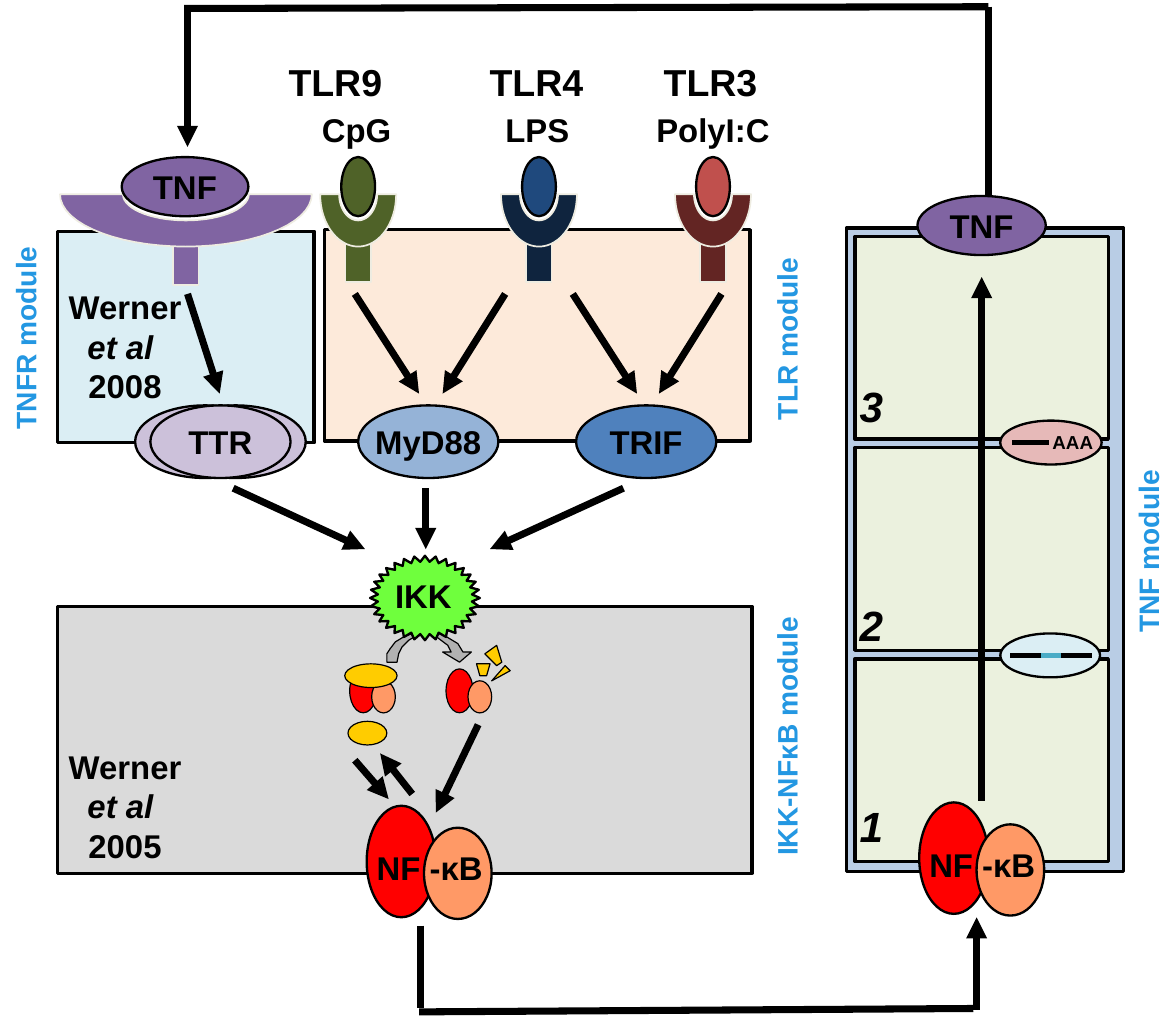
"""Build a slide of the TNF, TLR and NF-κB signalling modules."""
from math import cos, pi, sin

from lxml.etree import SubElement
from pptx import Presentation
from pptx.dml.color import RGBColor
from pptx.enum.shapes import MSO_CONNECTOR, MSO_SHAPE
from pptx.enum.text import MSO_ANCHOR, PP_ALIGN
from pptx.oxml.ns import qn
from pptx.util import Cm, Pt

BLACK = RGBColor(0x00, 0x00, 0x00)
CREAM = RGBColor(0xEE, 0xEC, 0xE1)
LABEL_BLUE = RGBColor(0x23, 0x97, 0xE2)
PALE_CYAN = RGBColor(0xDB, 0xEE, 0xF4)
PALE_BLUE = RGBColor(0xB9, 0xCD, 0xE5)
PALE_GREEN = RGBColor(0xEB, 0xF1, 0xDE)
PEACH = RGBColor(0xFD, 0xEA, 0xDA)
GREY = RGBColor(0xDA, 0xDA, 0xDA)
ARROW_GREY = RGBColor(0xB2, 0xB2, 0xB2)
LILAC = RGBColor(0xCC, 0xC1, 0xDA)
PURPLE = RGBColor(0x80, 0x64, 0xA2)
OLIVE = RGBColor(0x4F, 0x62, 0x28)
NAVY = RGBColor(0x0F, 0x24, 0x3E)
DARK_BLUE = RGBColor(0x1F, 0x49, 0x7D)
MAROON = RGBColor(0x63, 0x25, 0x23)
BRICK = RGBColor(0xC0, 0x50, 0x4D)
PINK = RGBColor(0xE6, 0xB9, 0xB8)
SKY = RGBColor(0x95, 0xB3, 0xD7)
BLUE = RGBColor(0x4F, 0x81, 0xBD)
TEAL = RGBColor(0x4B, 0xAC, 0xC6)
RED = RGBColor(0xFF, 0x00, 0x00)
ORANGE = RGBColor(0xFF, 0x99, 0x66)
YELLOW = RGBColor(0xFF, 0xCC, 0x00)
LIME = RGBColor(0x6F, 0xFF, 0x3D)


def length(inches):
    """Turn inches into a slide length."""
    return Cm(inches * 2.54)


def write_text(frame, text, size=14, color=BLACK, italic_lines=(), align=PP_ALIGN.LEFT,
               anchor=MSO_ANCHOR.TOP):
    """Write bold lines into a text frame."""
    frame.word_wrap = False
    frame.vertical_anchor = anchor
    for index, line in enumerate(text.split("\n")):
        para = frame.add_paragraph() if index else frame.paragraphs[0]
        para.alignment = align
        span = para.add_run()
        span.text = line
        span.font.name = "Arial"
        span.font.size = Pt(size)
        span.font.bold = True
        span.font.italic = index in italic_lines
        span.font.color.rgb = color


def paint(shape, fill, line=BLACK, width=1):
    """Give a shape its fill and outline."""
    shape.shadow.inherit = False
    shape.fill.solid()
    shape.fill.fore_color.rgb = fill
    shape.line.color.rgb = line
    shape.line.width = Pt(width)
    return shape


def add_preset(page, kind, place, fill, text=None, **outline):
    """Add a preset shape, with centred text if any is given."""
    shape = paint(page.shapes.add_shape(kind, *map(length, place)), fill, **outline)
    if text:
        write_text(shape.text_frame, text, align=PP_ALIGN.CENTER, anchor=MSO_ANCHOR.MIDDLE)
    return shape


def add_oval(page, place, fill, text=None, **outline):
    """Add an ellipse."""
    return add_preset(page, MSO_SHAPE.OVAL, place, fill, text, **outline)


def add_panel(page, place, fill):
    """Add a module rectangle."""
    add_preset(page, MSO_SHAPE.RECTANGLE, place, fill, width=1.5)


def add_outline(page, points, fill, **outline):
    """Add a closed polygon."""
    start, *rest = [(length(x), length(y)) for x, y in points]
    builder = page.shapes.build_freeform(*start)
    builder.add_line_segments(rest, close=True)
    return paint(builder.convert_to_shape(), fill, **outline)


def add_label(page, place, text, rotation=0, margin=None, **text_format):
    """Add a text box."""
    box = page.shapes.add_textbox(*map(length, place))
    box.rotation = rotation
    frame = box.text_frame
    if margin is not None:
        frame.margin_left = frame.margin_right = length(margin)
        frame.margin_top = frame.margin_bottom = length(margin)
    write_text(frame, text, **text_format)


def add_line(page, start, end, color=BLACK, width=3, arrow=False):
    """Add a straight line, with an arrowhead at its end on request."""
    line = page.shapes.add_connector(
        MSO_CONNECTOR.STRAIGHT, *map(length, (*start, *end)))
    line.line.color.rgb = color
    line.line.width = Pt(width)
    if arrow:
        SubElement(line.line._get_or_add_ln(), qn("a:tailEnd"), type="triangle")
    SubElement(line._element.spPr, qn("a:effectLst"))


def add_receptor(page, center, width, fill, stem_top=1.44):
    """Add a receptor: a stem below a half-ring cup."""
    add_preset(page, MSO_SHAPE.RECTANGLE, (center - 0.075, stem_top, 0.15, 0.23), fill,
               line=CREAM, width=0.75)
    angles = [pi * step / 30 for step in range(31)]
    cup = [(center + width / 2 * cos(a), 1.15 + 0.31 * sin(a)) for a in angles]
    cup += [(center + width / 4 * cos(a), 1.15 + 0.155 * sin(a)) for a in reversed(angles)]
    add_outline(page, cup, fill, line=CREAM, width=0.75)


def add_dimer(page, left, top):
    """Add the labelled NF-κB dimer."""
    add_oval(page, (left, top, 0.41, 0.66), RED)
    add_oval(page, (left + 0.34, top + 0.13, 0.4, 0.54), ORANGE)
    add_label(page, (left + 0.06, top + 0.25, 0.63, 0.24), "NF -κB", margin=0)


def add_receptor_modules(page):
    """Draw the TNFR and TLR modules."""
    add_panel(page, (0.34, 1.37, 1.52, 1.25), PALE_CYAN)
    add_panel(page, (1.92, 1.36, 2.52, 1.25), PEACH)
    for left, text in ((0.8, None), (0.98, None), (0.89, "TTR")):
        add_oval(page, (left, 2.4, 0.83, 0.43), LILAC, text)
    add_oval(page, (2.12, 2.4, 0.83, 0.43), SKY, "MyD88")
    add_oval(page, (3.41, 2.4, 0.83, 0.43), BLUE, "TRIF")
    add_receptor(page, 1.1, 1.49, PURPLE, stem_top=1.46)
    add_oval(page, (0.72, 0.93, 0.75, 0.35), PURPLE, "TNF")
    for center, cup, ligand, name, name_left, agent, agent_left, agent_width in (
            (2.12, OLIVE, OLIVE, "TLR9", 1.61, "CpG", 1.8, 0.62),
            (3.19, NAVY, DARK_BLUE, "TLR4", 2.8, "LPS", 2.89, 0.58),
            (4.22, MAROON, BRICK, "TLR3", 3.83, "PolyI:C", 3.78, 0.88)):
        add_receptor(page, center, 0.45, cup)
        add_oval(page, (center - 0.1, 0.93, 0.2, 0.35), ligand)
        add_label(page, (name_left, 0.3, 0.76, 0.37), name, size=16)
        add_label(page, (agent_left, 0.6, agent_width, 0.34), agent, align=PP_ALIGN.CENTER)
    for start, end in ((1.11, 1.3), (2.1, 2.48), (2.99, 2.62), (3.39, 3.77), (4.27, 3.9)):
        add_line(page, (start, 1.74), (end, 2.33), arrow=True)
    for start, end in ((1.38, 2.16), (2.52, 2.52), (3.69, 2.9)):
        add_line(page, (start, 2.89), (end, 3.25), arrow=True)


def add_ikk_module(page):
    """Draw the IKK-NFκB module."""
    add_panel(page, (0.34, 3.59, 4.11, 1.58), GREY)
    add_dimer(page, 2.17, 4.77)
    curved_arrow = (
        (2.29, 3.92), (2.29, 3.87), (2.31, 3.84), (2.34, 3.8), (2.39, 3.77), (2.44, 3.75),
        (2.61, 3.75), (2.66, 3.78), (2.71, 3.81), (2.74, 3.86), (2.79, 3.86), (2.72, 3.92),
        (2.62, 3.86), (2.67, 3.86), (2.65, 3.82), (2.61, 3.79), (2.57, 3.76), (2.52, 3.75),
        (2.47, 3.76), (2.42, 3.79), (2.38, 3.83), (2.36, 3.87), (2.35, 3.92))
    add_outline(page, curved_arrow, ARROW_GREY, width=0.5)
    for left in (2.07, 2.64):
        add_oval(page, (left, 3.96, 0.16, 0.26), RED, width=0.5)
        add_oval(page, (left + 0.13, 4.03, 0.14, 0.19), ORANGE, width=0.5)
    add_oval(page, (2.04, 3.93, 0.31, 0.14), YELLOW, width=0.5)
    add_oval(page, (2.06, 4.27, 0.23, 0.14), YELLOW, width=0.5)
    for fragment in (((2.82, 3.93), (2.84, 4), (2.88, 4), (2.9, 3.93)),
                     ((2.99, 3.94), (2.91, 4.03), (3.02, 3.97)),
                     ((2.87, 3.87), (2.94, 3.94), (2.97, 3.92), (2.94, 3.82))):
        add_outline(page, fragment, YELLOW, width=0.5)
    star = add_preset(page, MSO_SHAPE.STAR_32_POINT, (2.19, 3.29, 0.65, 0.5), LIME)
    star.adjustments[0] = 0.43
    add_label(page, (2.24, 3.36, 0.54, 0.34), "IKK")
    for start, end in (((2.44, 4.7), (2.25, 4.46)), ((2.83, 4.29), (2.58, 4.81)),
                       ((2.1, 4.5), (2.3, 4.73))):
        add_line(page, start, end, arrow=True)


def add_tnf_module(page):
    """Draw the three-step TNF module."""
    add_panel(page, (5.01, 1.35, 1.64, 3.81), PALE_BLUE)
    for step, (number, top) in enumerate((("3", 2.2), ("2", 3.5), ("1", 4.69))):
        add_panel(page, (5.06, 1.4 + 1.25 * step, 1.5, 1.2), PALE_GREEN)
        add_label(page, (4.99, top, 0.4, 0.4), number, size=18, italic_lines=(0,))
    add_oval(page, (5.43, 1.16, 0.76, 0.35), PURPLE, "TNF")
    add_dimer(page, 5.44, 4.75)
    add_line(page, (5.81, 4.74), (5.81, 1.64), arrow=True)
    add_oval(page, (5.92, 3.75, 0.59, 0.26), PALE_CYAN)
    for start, color in ((6.13, TEAL), (6.28, BLACK), (5.98, BLACK)):
        add_line(page, (start, 3.88), (start + 0.18, 3.88), color, width=2.25)
    add_oval(page, (5.92, 2.49, 0.6, 0.26), PINK)
    add_line(page, (5.99, 2.62), (6.21, 2.62), width=1.75)
    add_label(page, (6.13, 2.5, 0.45, 0.24), "AAA", size=8)


def main():
    """Build and save the deck."""
    deck = Presentation()
    deck.slide_width, deck.slide_height = length(6.96), length(6.02)
    page = deck.slides.add_slide(deck.slide_layouts[6])
    add_receptor_modules(page)
    add_ikk_module(page)
    add_tnf_module(page)
    for top, year in ((1.65, 2008), (4.37, 2005)):
        add_label(page, (0.3, top, 0.88, 0.81), f"Werner \net al \n{year}",
                  italic_lines=(1,), align=PP_ALIGN.CENTER)
    for left, top, width, name in ((-0.5, 1.84, 1.3, "TNFR"), (4.07, 1.85, 1.17, "TLR"),
                                   (3.84, 4.2, 1.63, "IKK-NFκB"), (6.21, 3.11, 1.17, "TNF")):
        add_label(page, (left, top, width, 0.3), f"{name} module", rotation=270, size=12,
                  color=LABEL_BLUE)
    for start, end, arrow in (
            ((5.85, 0.04), (5.85, 1.16), False), ((1.09, 0.05), (5.85, 0.04), False),
            ((1.11, 0.03), (1.11, 0.87), True), ((2.49, 5.48), (2.49, 5.97), False),
            ((2.48, 5.99), (5.76, 5.97), False), ((5.78, 5.98), (5.78, 5.43), True)):
        add_line(page, start, end, arrow=arrow)
    deck.save("out.pptx")


main()
